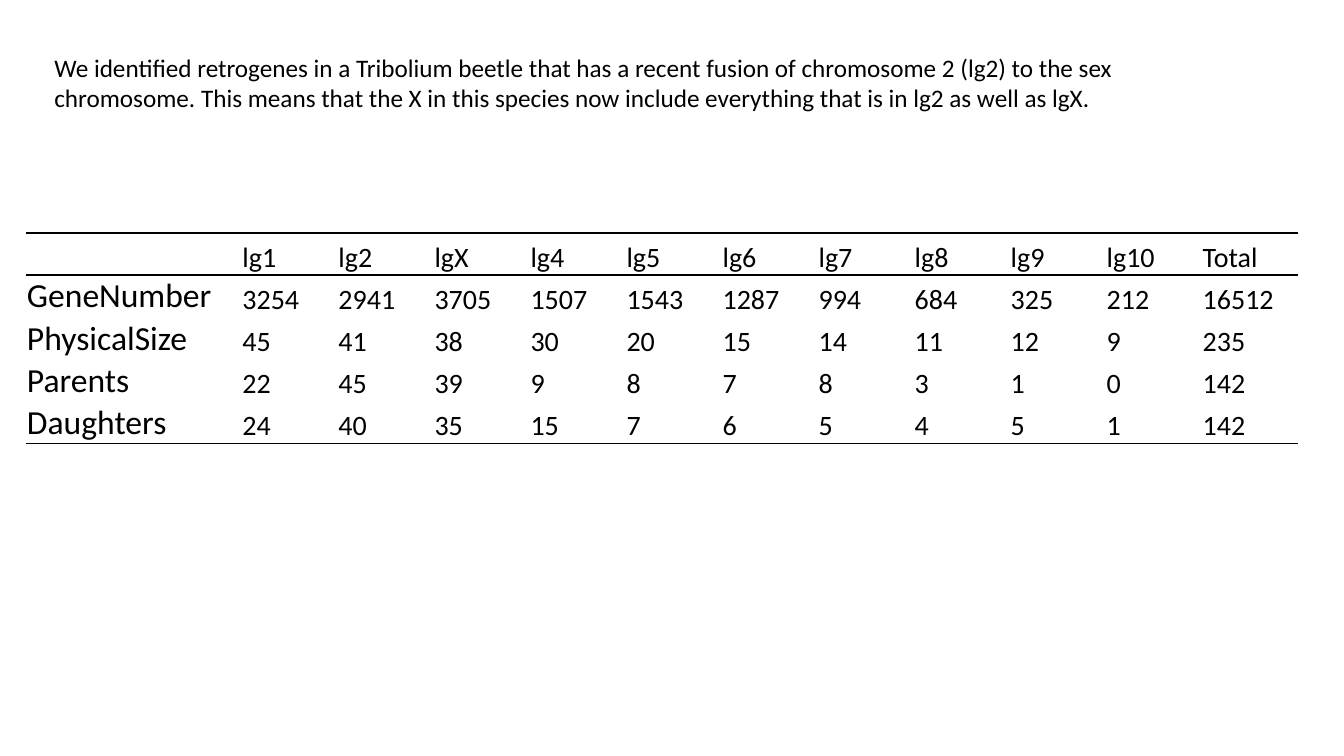
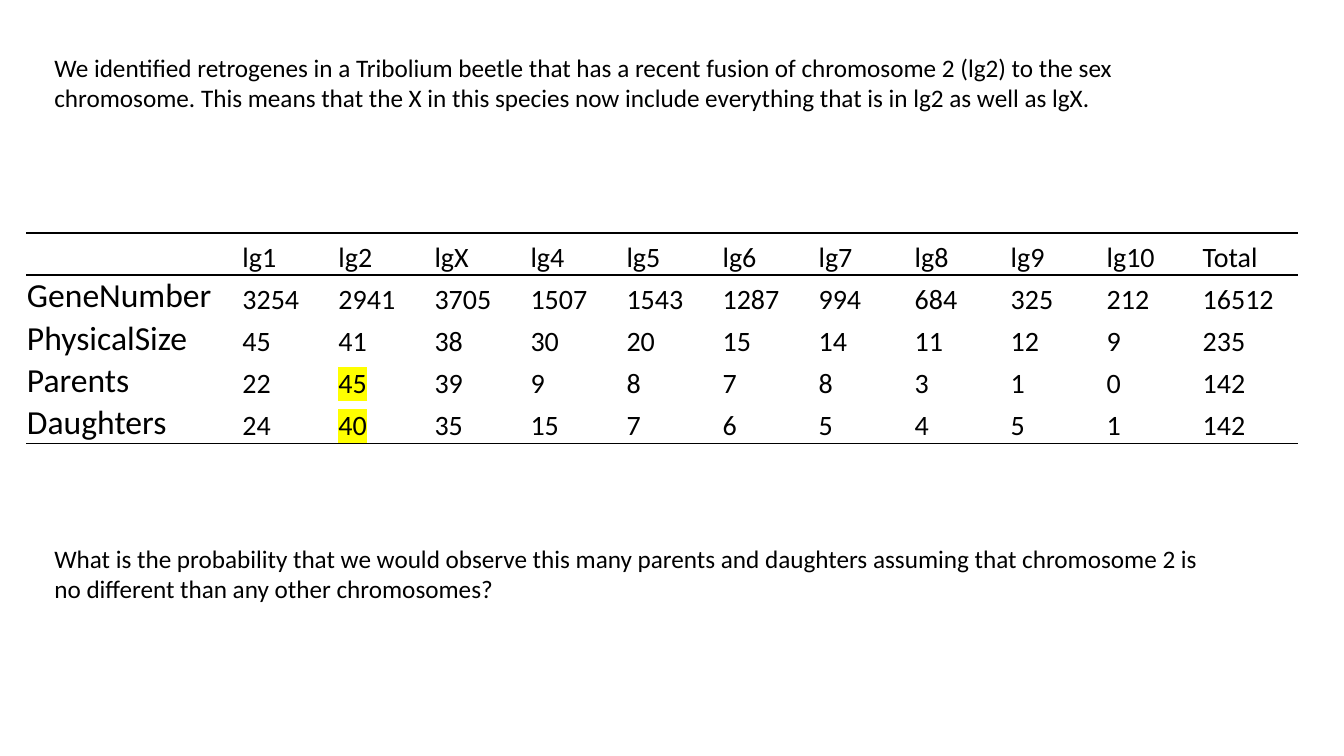
from lxml import etree
from pptx import Presentation
from pptx.dml.color import RGBColor
from pptx.enum.text import MSO_ANCHOR, MSO_AUTO_SIZE
from pptx.oxml.ns import qn
from pptx.util import Cm, Pt

ANCHOR_BOTTOM = MSO_ANCHOR.BOTTOM
FIT_SHAPE = MSO_AUTO_SIZE.SHAPE_TO_FIT_TEXT
BLANK_LAYOUT = 6

COLORS = {"ink": "000000", "highlight": "FFFF00"}
FONT = "Calibri"
PROSE_SIZE, VALUE_SIZE, LABEL_SIZE = 18, 20, 24
LABEL_WIDTH, VALUE_WIDTH, ROW_HEIGHT = 5.43, 2.42, 1.06
CELL_MARGIN = 0.02

INTRO = (
    "We identified retrogenes in a Tribolium beetle that has a recent fusion of "
    "chromosome 2 (lg2) to the sex chromosome. This means that the X in this species "
    "now include everything that is in lg2 as well as lgX."
)
QUESTION = (
    "What is the probability that we would observe this many parents and daughters "
    "assuming that chromosome 2 is no different than any other chromosomes?"
)
GENE_COUNTS = [
    ["", "lg1", "lg2", "lgX", "lg4", "lg5", "lg6", "lg7", "lg8", "lg9", "lg10", "Total"],
    ["GeneNumber", 3254, 2941, 3705, 1507, 1543, 1287, 994, 684, 325, 212, 16512],
    ["PhysicalSize", 45, 41, 38, 30, 20, 15, 14, 11, 12, 9, 235],
    ["Parents", 22, 45, 39, 9, 8, 7, 8, 3, 1, 0, 142],
    ["Daughters", 24, 40, 35, 15, 7, 6, 5, 4, 5, 1, 142],
]
LG2_RETROGENES = {("Parents", "lg2"), ("Daughters", "lg2")}


def add_run(paragraph, text, size):
    run = paragraph.add_run()
    run.text = text
    run.font.size = Pt(size)
    run.font.name = FONT
    run.font.color.rgb = RGBColor.from_string(COLORS["ink"])
    return run


def highlight(run):
    """Mark the run; the schema wants the mark right after the text fill."""
    mark = etree.Element(qn("a:highlight"))
    etree.SubElement(mark, qn("a:srgbClr"), val=COLORS["highlight"])
    run.font._element.find(qn("a:solidFill")).addnext(mark)


def add_prose(slide, text, top, width):
    box = slide.shapes.add_textbox(Cm(1.12), Cm(top), Cm(width), Cm(1.8))
    frame = box.text_frame
    frame.word_wrap = True
    frame.auto_size = FIT_SHAPE
    add_run(frame.paragraphs[0], text, PROSE_SIZE)


def set_borders(cell, ruled_sides):
    """Rule the named sides (T, B) and clear the others."""
    properties = cell._tc.get_or_add_tcPr()
    for position, side in enumerate("LRTB"):
        border = etree.Element(qn(f"a:ln{side}"), w=str(Pt(1)))
        if side in ruled_sides:
            fill = etree.SubElement(border, qn("a:solidFill"))
            etree.SubElement(fill, qn("a:srgbClr"), val=COLORS["ink"])
        else:
            etree.SubElement(border, qn("a:noFill"))
        properties.insert(position, border)


def format_cell(cell):
    cell.fill.background()
    cell.vertical_anchor = ANCHOR_BOTTOM
    cell.margin_left = cell.margin_right = cell.margin_top = Cm(CELL_MARGIN)
    cell.margin_bottom = 0


def add_gene_table(slide, marked=()):
    """Draw the counts; marked holds (row label, column label) pairs."""
    header = GENE_COUNTS[0]
    last_row = len(GENE_COUNTS) - 1
    table = slide.shapes.add_table(
        len(GENE_COUNTS), len(header), Cm(0.66), Cm(5.87),
        Cm(LABEL_WIDTH + VALUE_WIDTH * (len(header) - 1)),
        Cm(ROW_HEIGHT * len(GENE_COUNTS)),
    ).table
    table.first_row = table.horz_banding = False
    for index, column in enumerate(table.columns):
        column.width = Cm(VALUE_WIDTH if index else LABEL_WIDTH)

    for row_index, row in enumerate(GENE_COUNTS):
        table.rows[row_index].height = Cm(ROW_HEIGHT)
        ruled_sides = ("T" if row_index <= 1 else "") + (
            "B" if row_index in (0, last_row) else "")
        for column_index, value in enumerate(row):
            cell = table.cell(row_index, column_index)
            format_cell(cell)
            set_borders(cell, ruled_sides)
            if value == "":
                continue
            size = VALUE_SIZE if column_index else LABEL_SIZE
            run = add_run(cell.text_frame.paragraphs[0], str(value), size)
            if (row[0], header[column_index]) in marked:
                highlight(run)


def add_gene_slide(presentation, marked=()):
    slide = presentation.slides.add_slide(presentation.slide_layouts[BLANK_LAYOUT])
    add_gene_table(slide, marked)
    add_prose(slide, INTRO, 1.19, 29.31)
    return slide


def main():
    presentation = Presentation()
    presentation.slide_width = Cm(33.87)
    presentation.slide_height = Cm(19.05)
    add_gene_slide(presentation)
    question_slide = add_gene_slide(presentation, LG2_RETROGENES)
    add_prose(question_slide, QUESTION, 13.56, 29.79)
    presentation.save("out.pptx")


if __name__ == "__main__":
    main()
